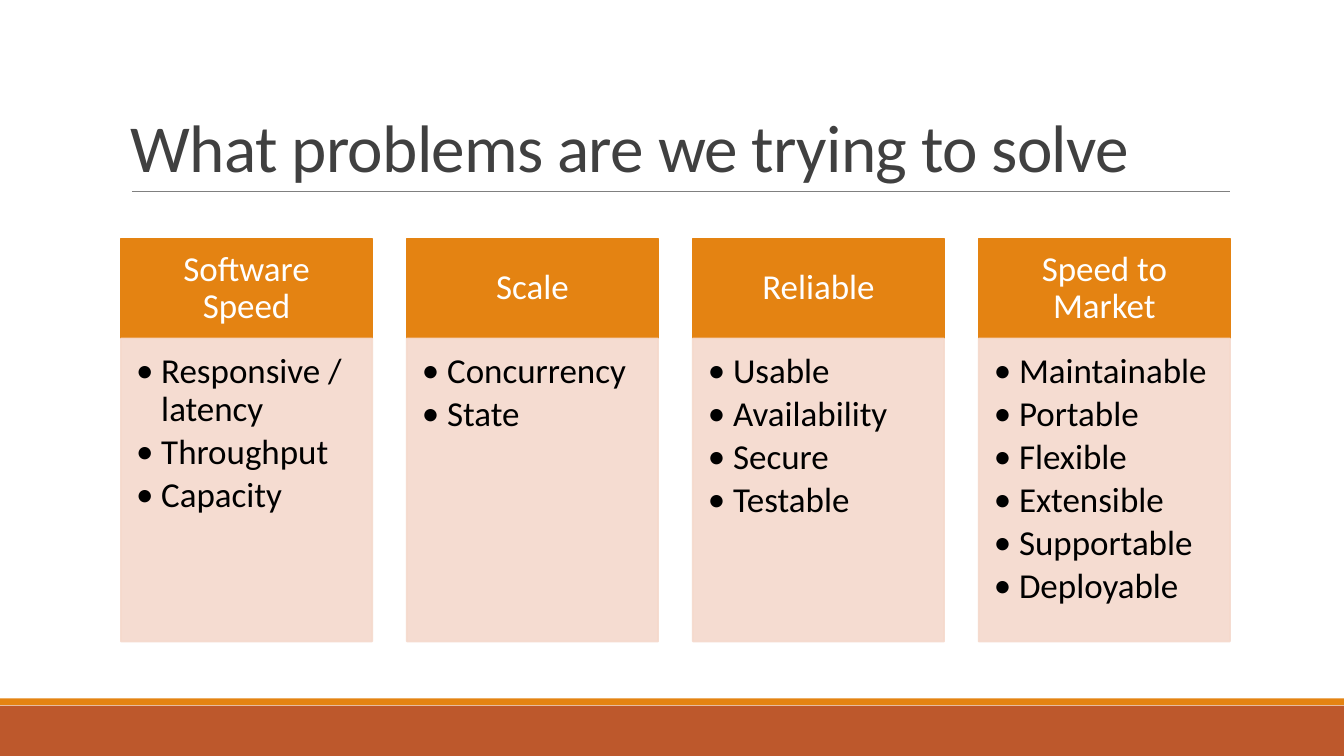
from dataclasses import dataclass

from lxml.etree import SubElement
from pptx import Presentation
from pptx.dml.color import RGBColor
from pptx.enum.shapes import MSO_CONNECTOR, MSO_SHAPE
from pptx.enum.text import MSO_ANCHOR, PP_ALIGN
from pptx.oxml.ns import qn
from pptx.shapes.autoshape import Shape
from pptx.slide import Slide
from pptx.text.text import TextFrame, _Paragraph
from pptx.util import Pt

COLORS = {
    "orange": "E48312",
    "rust": "BD582C",
    "blush": "F5D9CC",
    "rule": "808080",
    "title": "404040",
    "white": "FFFFFF",
    "black": "000000",
}
FONT = "Calibri"
SLIDE_WIDTH, SLIDE_HEIGHT = 960, 540
COLUMN_LEFT, COLUMN_PITCH, COLUMN_WIDTH = 86.4, 204.24, 179.5
HEADER_TOP, HEADER_HEIGHT, BODY_HEIGHT = 170.4, 71.4, 216.4
COLUMN_TEXT_SIZE = 25
BULLET_INDENT = 18
BODY_OPACITY = 90


@dataclass(frozen=True)
class Box:
    left: float
    top: float
    width: float
    height: float


@dataclass(frozen=True)
class Problem:
    heading: str
    qualities: tuple[str, ...]


PROBLEMS = (
    Problem("Software Speed", ("Responsive / latency", "Throughput", "Capacity")),
    Problem("Scale", ("Concurrency", "State")),
    Problem("Reliable", ("Usable", "Availability", "Secure", "Testable")),
    Problem("Speed to Market", ("Maintainable", "Portable", "Flexible",
                                "Extensible", "Supportable", "Deployable")),
)


def color(name: str) -> RGBColor:
    return RGBColor.from_string(COLORS[name])


def add_block(slide: Slide, box: Box, fill: str, outlined: bool = False) -> Shape:
    block = slide.shapes.add_shape(MSO_SHAPE.RECTANGLE, Pt(box.left), Pt(box.top),
                                   Pt(box.width), Pt(box.height))
    block.shadow.inherit = False
    block.fill.solid()
    block.fill.fore_color.rgb = color(fill)
    if outlined:
        block.line.color.rgb = color(fill)
        block.line.width = Pt(1.25)
    else:
        block.line.fill.background()
    return block


def set_opacity(block: Shape, percent: int) -> None:
    """Apply the opacity to both the fill and the outline."""
    for solid_color in block._element.spPr.iter(qn("a:srgbClr")):
        SubElement(solid_color, qn("a:alpha"), val=str(percent * 1000))


def set_frame(frame: TextFrame, anchor: MSO_ANCHOR,
              insets: tuple[float, float, float, float]) -> None:
    """Set wrapping, anchor and the left, top, right and bottom insets."""
    frame.word_wrap = True
    frame.vertical_anchor = anchor
    (frame.margin_left, frame.margin_top,
     frame.margin_right, frame.margin_bottom) = map(Pt, insets)


def write(paragraph: _Paragraph, text: str, size: float, text_color: str,
          align: PP_ALIGN = PP_ALIGN.LEFT, line_spacing: float = 0.9,
          space_after: float = 0, tracking: float = 0) -> None:
    paragraph.alignment = align
    paragraph.line_spacing = line_spacing
    paragraph.space_after = Pt(space_after)
    run = paragraph.add_run()
    run.text = text
    run.font.name = FONT
    run.font.size = Pt(size)
    run.font.color.rgb = color(text_color)
    if tracking:
        run._r.get_or_add_rPr().set("spc", str(round(tracking * 100)))


def add_bullet(paragraph: _Paragraph) -> None:
    properties = paragraph._p.get_or_add_pPr()
    properties.set("marL", str(Pt(BULLET_INDENT)))
    properties.set("indent", str(-Pt(BULLET_INDENT)))
    SubElement(properties, qn("a:buFont"), typeface=FONT)
    SubElement(properties, qn("a:buChar"), char="•")


def add_title(slide: Slide, text: str) -> None:
    """Add the slide title and the thin rule under it."""
    title = slide.shapes.add_textbox(Pt(86.4), Pt(22.6), Pt(792), Pt(114.2))
    set_frame(title.text_frame, MSO_ANCHOR.BOTTOM, (7.2, 3.6, 7.2, 3.6))
    write(title.text_frame.paragraphs[0], text, 48, "title",
          line_spacing=0.85, tracking=-0.5)
    rule = slide.shapes.add_connector(MSO_CONNECTOR.STRAIGHT, Pt(94.2), Pt(136.8),
                                      Pt(878.8), Pt(136.8))
    rule.line.color.rgb = color("rule")
    rule.line.width = Pt(0.5)
    SubElement(rule._element.spPr, qn("a:effectLst"))


def add_problem(slide: Slide, problem: Problem, left: float) -> None:
    """Add one column: heading block over a block of bulleted qualities."""
    header = add_block(slide, Box(left, HEADER_TOP, COLUMN_WIDTH, HEADER_HEIGHT),
                       "orange", outlined=True)
    set_frame(header.text_frame, MSO_ANCHOR.MIDDLE, (13.7, 7.9, 13.7, 7.9))
    write(header.text_frame.paragraphs[0], problem.heading, COLUMN_TEXT_SIZE,
          "white", align=PP_ALIGN.CENTER)

    body = add_block(slide, Box(left, HEADER_TOP + HEADER_HEIGHT, COLUMN_WIDTH,
                                BODY_HEIGHT), "blush", outlined=True)
    set_opacity(body, BODY_OPACITY)
    frame = body.text_frame
    set_frame(frame, MSO_ANCHOR.TOP, (10.8, 10.8, 13.7, 15.8))
    for index, quality in enumerate(problem.qualities):
        paragraph = frame.add_paragraph() if index else frame.paragraphs[0]
        write(paragraph, quality, COLUMN_TEXT_SIZE, "black",
              space_after=0.15 * COLUMN_TEXT_SIZE)
        add_bullet(paragraph)


def main() -> None:
    presentation = Presentation()
    presentation.slide_width = Pt(SLIDE_WIDTH)
    presentation.slide_height = Pt(SLIDE_HEIGHT)
    slide = presentation.slides.add_slide(presentation.slide_layouts[6])
    add_block(slide, Box(0, 504, SLIDE_WIDTH, 36), "rust")
    add_block(slide, Box(0, 498.8, SLIDE_WIDTH, 5), "orange")
    add_title(slide, "What problems are we trying to solve")
    for index, problem in enumerate(PROBLEMS):
        add_problem(slide, problem, COLUMN_LEFT + index * COLUMN_PITCH)
    presentation.save("out.pptx")


if __name__ == "__main__":
    main()
